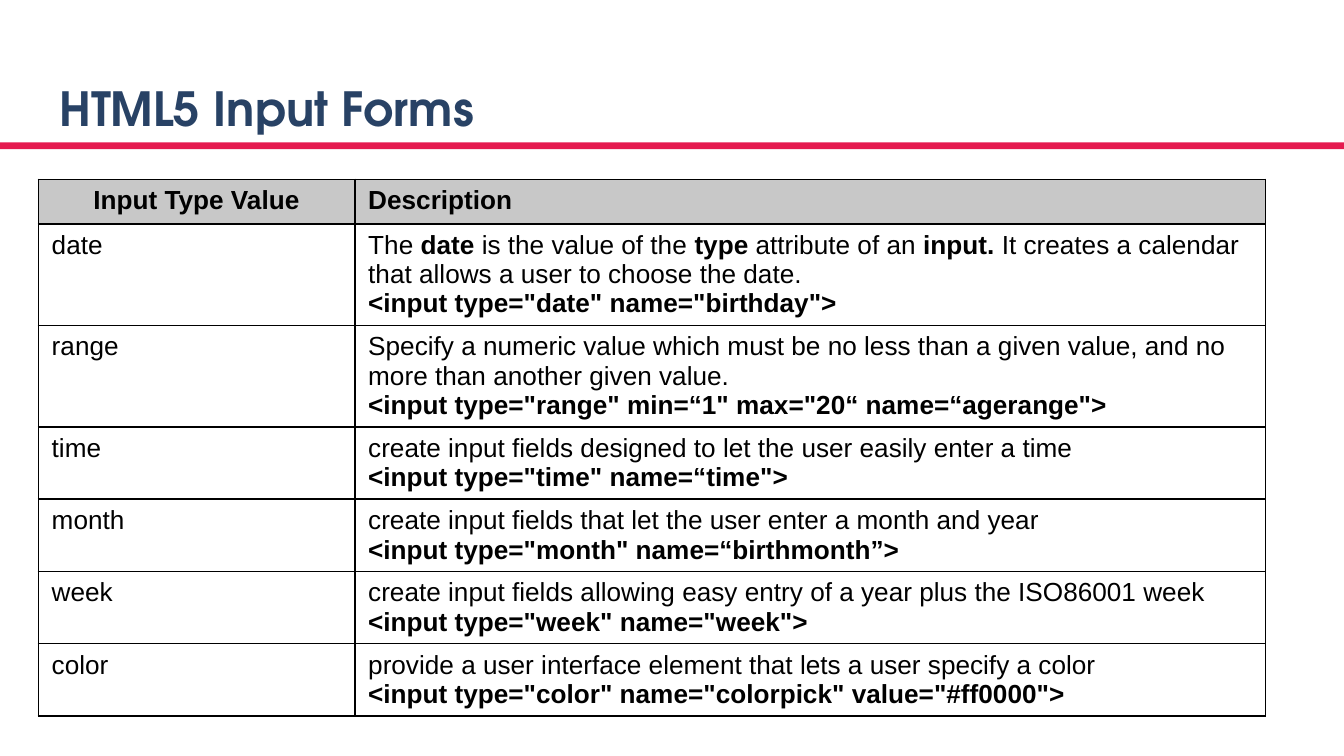
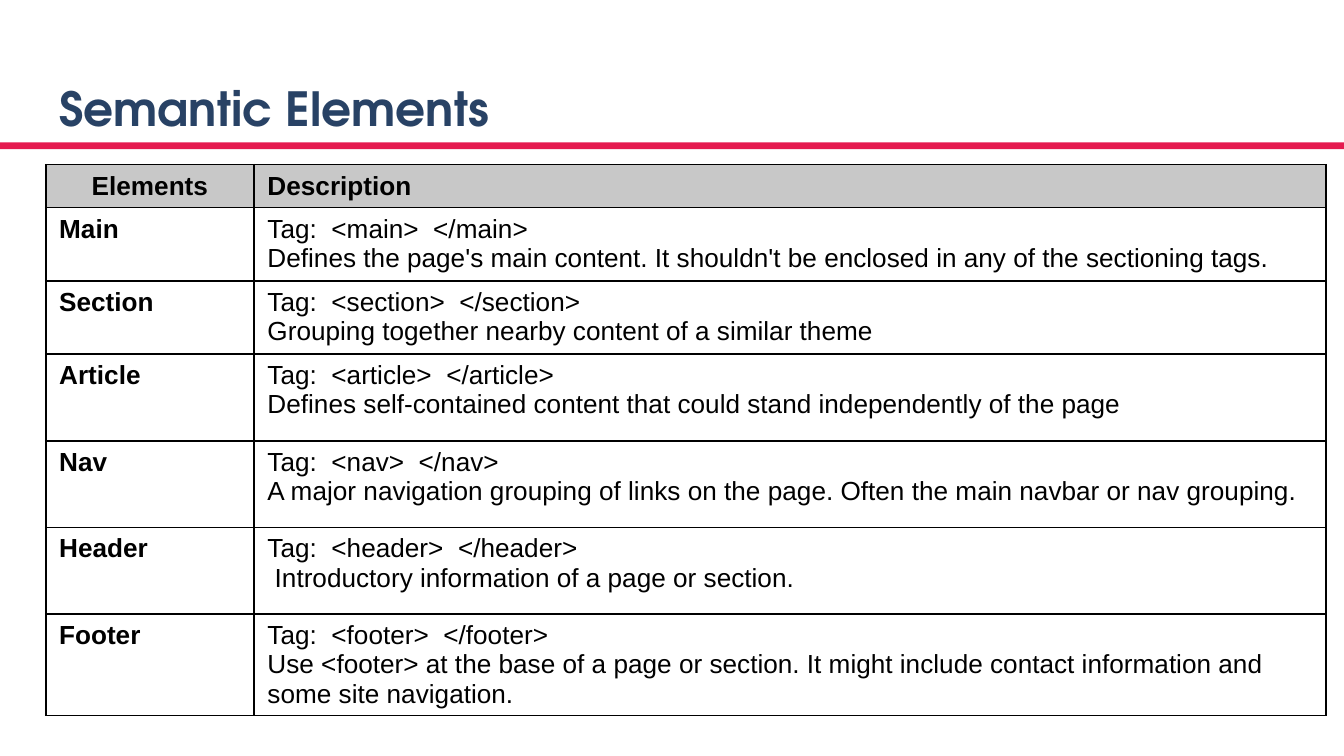
"""Build two slides that each hold a title, a band and a reference table."""
from lxml import etree
from pptx import Presentation
from pptx.dml.color import RGBColor
from pptx.enum.shapes import MSO_SHAPE
from pptx.enum.text import MSO_ANCHOR, MSO_AUTO_SIZE, PP_ALIGN
from pptx.oxml.ns import qn
from pptx.util import Emu, Pt

RECTANGLE = MSO_SHAPE.RECTANGLE
MIDDLE = MSO_ANCHOR.MIDDLE
NO_AUTOFIT = MSO_AUTO_SIZE.NONE
LEFT, CENTER = PP_ALIGN.LEFT, PP_ALIGN.CENTER

PIXEL = 4572
SLIDE_SIZE = (2000, 1125)
BAND_BOX = (0, 212, 2000, 10)
TITLE_BOX = (68, 98, 1864, 126)
TITLE_MARGIN = 20
BORDER_WIDTH = Pt(1)
TITLE_FONT, TITLE_SIZE = "TeX Gyre Adventor", 25.2
TABLE_FONT, TABLE_SIZE = "Arial", 14
BOLD_MARK = "*"
COLORS = {
    "background": "FFFFFF",
    "band": "E51A4F",
    "title": "284265",
    "text": "000000",
    "border": "000000",
    "header": "C8C8C8",
    "body": "FFFFFF",
}

# Text between two bold marks is bold; each cell is a tuple of paragraphs.
SLIDES = [
    {
        "title": "HTML5 Input Forms",
        "position": (57, 267),
        "columns": (471, 1355),
        "rows": (66,) * 7,
        "cells": [
            (("*Input Type Value*",), ("*Description*",)),
            (("date",), (
                "The *date* is the value of the *type* attribute of an* input. *"
                "It creates a calendar that allows a user to choose the date.",
                '*<input type="date" name="birthday">*')),
            (("range",), (
                "Specify a numeric value which must be no less than a given value, "
                "and no more than another given value.",
                '*<input type="range" min=“1" max="20“ name=“agerange">*')),
            (("time",), (
                "create input fields designed to let the user easily enter a time",
                '*<input type="time" name=“time">*')),
            (("month",), (
                "create input fields that let the user enter a month and year",
                '*<input type="month" name=“birthmonth”>*')),
            (("week",), (
                "create input fields allowing easy entry of a year plus the ISO86001 week",
                '*<input type="week" name="week">*')),
            (("color",), (
                "provide a user interface element that lets a user specify a color",
                '*<input type="color" name="colorpick" value="#ff0000">*')),
        ],
    },
    {
        "title": "Semantic Elements",
        "position": (68, 245),
        "columns": (310, 1595),
        "rows": (64, 109, 109, 129, 129, 129, 129),
        "cells": [
            (("*Elements*",), ("*Description*",)),
            (("*Main*",), (
                "Tag:  <main>  </main>",
                "Defines the page's main content. It shouldn't be enclosed in any "
                "of the sectioning tags.")),
            (("*Section*",), (
                "Tag:  <section>  </section>",
                "Grouping together nearby content of a similar theme")),
            (("*Article*",), (
                "Tag:  <article>  </article>",
                "Defines self-contained content that could stand independently of the page")),
            (("*Nav*",), (
                "Tag:  <nav>  </nav>",
                "A major navigation grouping of links on the page. "
                "Often the main navbar or nav grouping.")),
            (("*Header*",), (
                "Tag:  <header>  </header>",
                " Introductory information of a page or section.")),
            (("*Footer*",), (
                "Tag:  <footer>  </footer>",
                "Use <footer> at the base of a page or section. It might include "
                "contact information and some site navigation.")),
        ],
    },
]


def px(*lengths):
    return [Emu(length * PIXEL) for length in lengths]


def color(name):
    return RGBColor.from_string(COLORS[name])


def paint(fill, name):
    fill.solid()
    fill.fore_color.rgb = color(name)


def add_run(paragraph, text, font_name, size, color_name, bold):
    run = paragraph.add_run()
    run.text = text
    run.font.name = font_name
    run.font.size = Pt(size)
    run.font.bold = bold
    run.font.color.rgb = color(color_name)


def add_band(slide):
    band = slide.shapes.add_shape(RECTANGLE, *px(*BAND_BOX))
    band.shadow.inherit = False
    paint(band.fill, "band")
    band.line.fill.background()


def set_title(slide, text):
    title = slide.shapes.title
    title.left, title.top, title.width, title.height = px(*TITLE_BOX)
    frame = title.text_frame
    frame.word_wrap = True
    frame.auto_size = NO_AUTOFIT
    frame.vertical_anchor = MIDDLE
    margins = px(*[TITLE_MARGIN] * 4)
    frame.margin_left, frame.margin_top, frame.margin_right, frame.margin_bottom = margins
    paragraph = frame.paragraphs[0]
    paragraph.alignment = LEFT
    add_run(paragraph, text, TITLE_FONT, TITLE_SIZE, "title", True)


def add_borders(cell):
    properties = cell._tc.get_or_add_tcPr()
    for side in ("a:lnL", "a:lnR", "a:lnT", "a:lnB"):
        line = etree.SubElement(properties, qn(side), w=str(BORDER_WIDTH))
        fill = etree.SubElement(line, qn("a:solidFill"))
        etree.SubElement(fill, qn("a:srgbClr"), val=COLORS["border"])


def fill_cell(cell, paragraphs, fill_name, alignment):
    add_borders(cell)
    paint(cell.fill, fill_name)
    frame = cell.text_frame
    for index, text in enumerate(paragraphs):
        paragraph = frame.add_paragraph() if index else frame.paragraphs[0]
        paragraph.alignment = alignment
        for part, piece in enumerate(text.split(BOLD_MARK)):
            if piece:
                add_run(paragraph, piece, TABLE_FONT, TABLE_SIZE, "text", part % 2 == 1)


def add_reference_table(slide, content):
    widths, heights = content["columns"], content["rows"]
    box = px(*content["position"], sum(widths), sum(heights))
    table = slide.shapes.add_table(len(heights), len(widths), *box).table
    table.first_row = table.horz_banding = False
    for column, width in zip(table.columns, px(*widths)):
        column.width = width
    for row, height in zip(table.rows, px(*heights)):
        row.height = height
    for row_index, row_cells in enumerate(content["cells"]):
        for column_index, paragraphs in enumerate(row_cells):
            is_header = row_index == 0
            fill_cell(
                table.cell(row_index, column_index),
                paragraphs,
                "header" if is_header else "body",
                CENTER if is_header and column_index == 0 else LEFT,
            )


def main():
    presentation = Presentation()
    presentation.slide_width, presentation.slide_height = px(*SLIDE_SIZE)
    title_only = presentation.slide_layouts.get_by_name("Title Only")
    for content in SLIDES:
        slide = presentation.slides.add_slide(title_only)
        paint(slide.background.fill, "background")
        add_band(slide)
        set_title(slide, content["title"])
        add_reference_table(slide, content)
    presentation.save("out.pptx")


if __name__ == "__main__":
    main()
